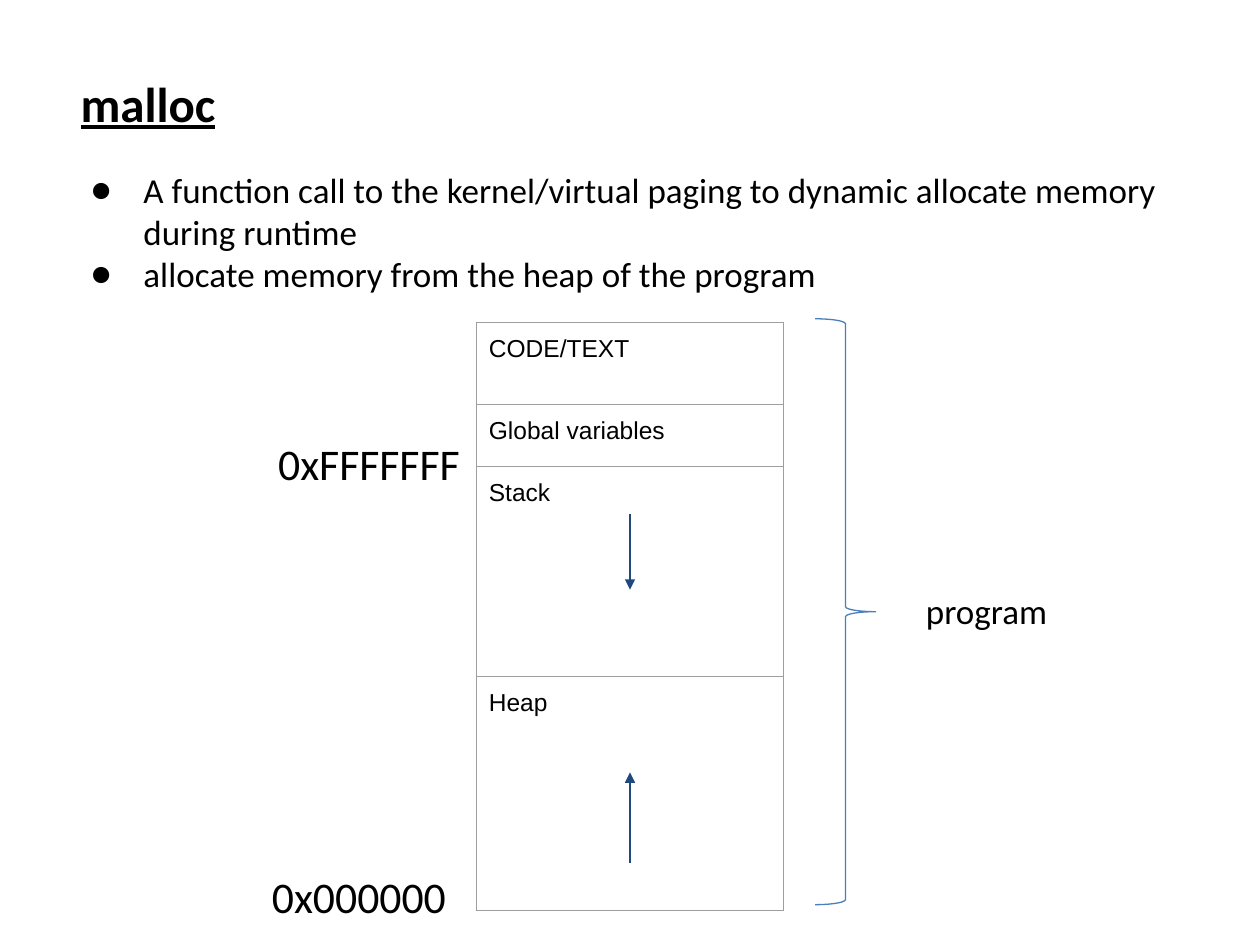
from lxml.etree import SubElement
from pptx import Presentation
from pptx.dml.color import RGBColor
from pptx.enum.shapes import MSO_CONNECTOR, MSO_SHAPE
from pptx.enum.text import MSO_ANCHOR, PP_ALIGN
from pptx.oxml.ns import qn
from pptx.util import Inches, Pt

COLORS = {"text": "000000", "border": "9E9E9E", "arrow": "1F497D", "brace": "4B7EBC"}
TITLE_FONT = {"name": "Calibri", "size": Pt(28), "bold": True, "underline": True}
BODY_FONT = {"name": "Calibri", "size": Pt(20)}
ADDRESS_FONT = {"name": "Calibri", "size": Pt(25)}
CELL_FONT = {"name": "Arial", "size": Pt(14)}
SEGMENTS = [("CODE/TEXT", 0.65), ("Global variables", 0.49), ("Stack", 1.67), ("Heap", 1.86)]
BULLETS = [
    "A function call to the kernel/virtual paging to dynamic allocate memory during runtime",
    "allocate memory from the heap of the program",
]


def color(name):
    return RGBColor.from_string(COLORS[name])


def set_format(target, values):
    for name, value in values.items():
        setattr(target, name, value)


def write_text(frame, lines, font, indent=None, bullet=None):
    set_format(frame, {"word_wrap": True, "vertical_anchor": MSO_ANCHOR.TOP})
    for index, line in enumerate(lines):
        paragraph = frame.add_paragraph() if index else frame.paragraphs[0]
        paragraph.alignment = PP_ALIGN.LEFT
        run = paragraph.add_run()
        run.text = line
        set_format(run.font, font)
        run.font.color.rgb = color("text")
        properties = paragraph._p.get_or_add_pPr()
        if indent:
            properties.set("marL", str(Inches(indent[0])))
            properties.set("indent", str(Inches(indent[1])))
        if bullet:
            bullet_color = SubElement(properties, qn("a:buClr"))
            SubElement(bullet_color, qn("a:srgbClr"), val=COLORS["text"])
            SubElement(properties, qn("a:buFont"), typeface="Calibri")
            SubElement(properties, qn("a:buChar"), char=bullet)


def add_title(slide, text, box):
    title = slide.shapes.title
    set_format(title, dict(zip(("left", "top", "width", "height"), map(Inches, box))))
    write_text(title.text_frame, [text], TITLE_FONT)


def add_text(slide, lines, box, font, indent=None, bullet=None):
    shape = slide.shapes.add_textbox(*map(Inches, box))
    write_text(shape.text_frame, lines, font, indent, bullet)


def format_cell(cell, text):
    sides = ("left", "right", "top", "bottom")
    set_format(cell, {f"margin_{side}": Inches(0.1) for side in sides})
    write_text(cell.text_frame, [text], CELL_FONT)
    properties = cell._tc.get_or_add_tcPr()
    for side in ("L", "R", "T", "B"):
        border = SubElement(properties, qn(f"a:ln{side}"), w=str(Pt(0.75)))
        fill = SubElement(border, qn("a:solidFill"))
        SubElement(fill, qn("a:srgbClr"), val=COLORS["border"])
    cell.fill.background()


def add_memory_table(slide, left, top, width):
    height = sum(height for _, height in SEGMENTS)
    box = map(Inches, (left, top, width, height))
    table = slide.shapes.add_table(len(SEGMENTS), 1, *box).table
    set_format(table, {"first_row": False, "horz_banding": False})
    for index, (name, row_height) in enumerate(SEGMENTS):
        table.rows[index].height = Inches(row_height)
        format_cell(table.cell(index, 0), name)


def add_arrow(slide, x, start, end):
    points = map(Inches, (x, start, x, end))
    arrow = slide.shapes.add_connector(MSO_CONNECTOR.STRAIGHT, *points)
    arrow.line.color.rgb = color("arrow")
    arrow.line.width = Pt(0.75)
    SubElement(arrow.line._get_or_add_ln(), qn("a:tailEnd"), type="triangle")
    SubElement(arrow._element.spPr, qn("a:effectLst"))


def add_brace(slide, box):
    brace = slide.shapes.add_shape(MSO_SHAPE.RIGHT_BRACE, *map(Inches, box))
    brace.shadow.inherit = False
    brace.fill.background()
    brace.line.color.rgb = color("brace")
    brace.line.width = Pt(0.75)


def main():
    presentation = Presentation()
    set_format(presentation, {"slide_width": Inches(10), "slide_height": Inches(7.5)})
    slide = presentation.slides.add_slide(presentation.slide_layouts[5])
    add_title(slide, "malloc", (0.54, 0.53, 9.12, 0.76))
    add_text(slide, BULLETS, (0.54, 1.29, 9.12, 1.18), BODY_FONT, (0.5, -0.42), "●")
    add_memory_table(slide, 3.78, 2.56, 2.44)
    add_text(slide, ["0xFFFFFFF"], (2.11, 3.42, 1.67, 0.65), ADDRESS_FONT)
    add_text(slide, ["0x000000"], (2.06, 6.85, 1.72, 0.65), ADDRESS_FONT)
    for start, end in ((4.08, 4.68), (6.85, 6.13)):
        add_arrow(slide, 5, start, end)
    add_brace(slide, (6.47, 2.53, 0.48, 4.65))
    add_text(slide, ["program"], (7.17, 4.63, 1.31, 0.44), BODY_FONT, (0.08, 0))
    presentation.save("out.pptx")


main()
